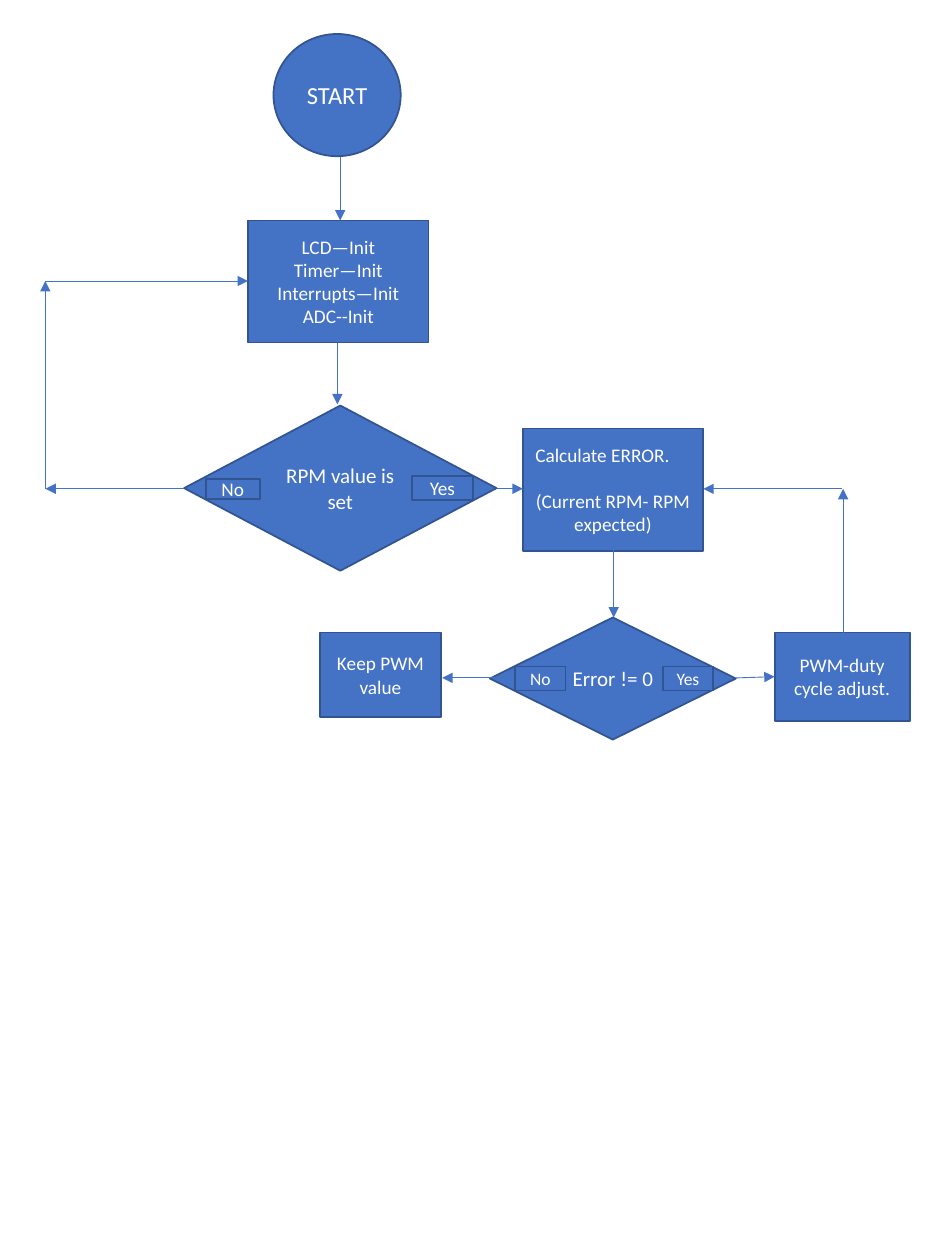
from dataclasses import dataclass

from lxml.etree import SubElement
from pptx import Presentation
from pptx.dml.color import RGBColor
from pptx.enum.shapes import MSO_CONNECTOR as Link, MSO_SHAPE as Shape
from pptx.enum.text import MSO_ANCHOR as Anchor, PP_ALIGN as Align
from pptx.oxml.ns import qn
from pptx.util import Inches, Pt

COLORS = {"fill": "4472C4", "edge": "325491", "arrow": "4472C4", "text": "FFFFFF"}
FONT = "Calibri"


@dataclass
class Box:
    left: float
    top: float
    width: float
    height: float

    def point(self, across, down):
        return self.left + self.width * across / 100, self.top + self.height * down / 100

    def area(self, across, down, width, height):
        return Box(*self.point(across, down), self.width * width / 100, self.height * height / 100)


def color(name):
    return RGBColor.from_string(COLORS[name])


def node(page, box, kind, lines, size, inset=0.1):
    shape = page.shapes.add_shape(
        kind, Inches(box.left), Inches(box.top), Inches(box.width), Inches(box.height))
    shape.shadow.inherit = False
    shape.fill.solid()
    shape.fill.fore_color.rgb = color("fill")
    shape.line.color.rgb = color("edge")
    shape.line.width = Pt(1)
    frame = shape.text_frame
    frame.word_wrap = True
    frame.vertical_anchor = Anchor.MIDDLE
    frame.margin_left = frame.margin_right = Inches(inset)
    frame.margin_top = frame.margin_bottom = Inches(inset / 2)
    for index, line in enumerate(lines):
        para = frame.paragraphs[0] if index == 0 else frame.add_paragraph()
        para.alignment = Align.CENTER
        span = para.add_run()
        span.text = line
        span.font.name = FONT
        span.font.size = Pt(size)
        span.font.color.rgb = color("text")
    return frame


def arrow(page, box, start, end):
    points = [Inches(value) for value in box.point(*start) + box.point(*end)]
    link = page.shapes.add_connector(Link.STRAIGHT, *points)
    link.line.color.rgb = color("arrow")
    link.line.width = Pt(0.5)
    properties = link.element.spPr
    SubElement(properties.find(qn("a:ln")), qn("a:tailEnd"), type="triangle")
    SubElement(properties, qn("a:effectLst"))


def decision(page, box, question, answers, answer_size):
    node(page, box, Shape.FLOWCHART_DECISION, [question], 12)
    for answer, place in answers.items():
        node(page, box.area(*place), Shape.FLOWCHART_PROCESS, [answer], answer_size, 0)


def setup_stage(page, box):
    arrow(page, box, (51, 30.6), (51, 60.4))
    node(page, box.area(14, 0, 70.6, 39.6), Shape.FLOWCHART_CONNECTOR, ["START"], 14)
    node(page, box.area(0, 60.4, 100, 39.6), Shape.FLOWCHART_PROCESS,
         ["LCD—Init", "Timer—Init", "Interrupts—Init", "ADC--Init"], 11)


def speed_check(page, box):
    row = 71.7
    decision(page, box.area(21.1, 43, 47.5, 57), "RPM value is set",
             {"Yes": (73, 42.7, 19.4, 14.5), "No": (6.9, 44.3, 17.3, 12.2)}, 11)
    frame = node(page, box.area(72.6, 50.9, 27.4, 42.2), Shape.FLOWCHART_PROCESS,
                 ["Calculate ERROR.", "(Current RPM- RPM expected)"], 11)
    frame.paragraphs[0].alignment = Align.LEFT
    frame.paragraphs[0].space_after = Pt(13)
    for start, end in [((44.4, 21.3), (44.4, 42.6)), ((21.1, row), (0, row)),
                       ((0, row), (0, 0)), ((0, 0), (30.8, 0)),
                       ((68.6, row), (72.6, row))]:
        arrow(page, box, start, end)


def error_check(page, box):
    row = 75.4
    decision(page, box.area(28.8, 51.3, 41.7, 48.7), "Error != 0",
             {"Yes": (70.3, 40.2, 20.5, 19.6), "No": (10.3, 40.2, 20.5, 19.6)}, 10)
    node(page, box.area(0, 57.3, 20.5, 33.7), Shape.FLOWCHART_PROCESS, ["Keep PWM value"], 11)
    node(page, box.area(77.1, 57.3, 22.9, 35.2), Shape.FLOWCHART_PROCESS,
         ["PWM-duty cycle adjust."], 11)
    for start, end in [((49.8, 24.1), (49.8, 51.3)), ((29.9, row), (20.7, row)),
                       ((70.5, row), (77.1, 74.9)), ((88.7, 57.8), (88.7, 0)),
                       ((88.5, 0), (65, 0))]:
        arrow(page, box, start, end)


deck = Presentation()
sheet = Box(0, 0, 7.5, 10)
deck.slide_width, deck.slide_height = Inches(sheet.width), Inches(sheet.height)
page = deck.slides.add_slide(deck.slide_layouts[6])
setup_stage(page, sheet.area(26.27, 2.7, 19.07, 24.5))
speed_check(page, sheet.area(4.8, 22.3, 69.6, 23))
error_check(page, sheet.area(33.87, 38.8, 62.4, 19.9))
deck.save("out.pptx")
